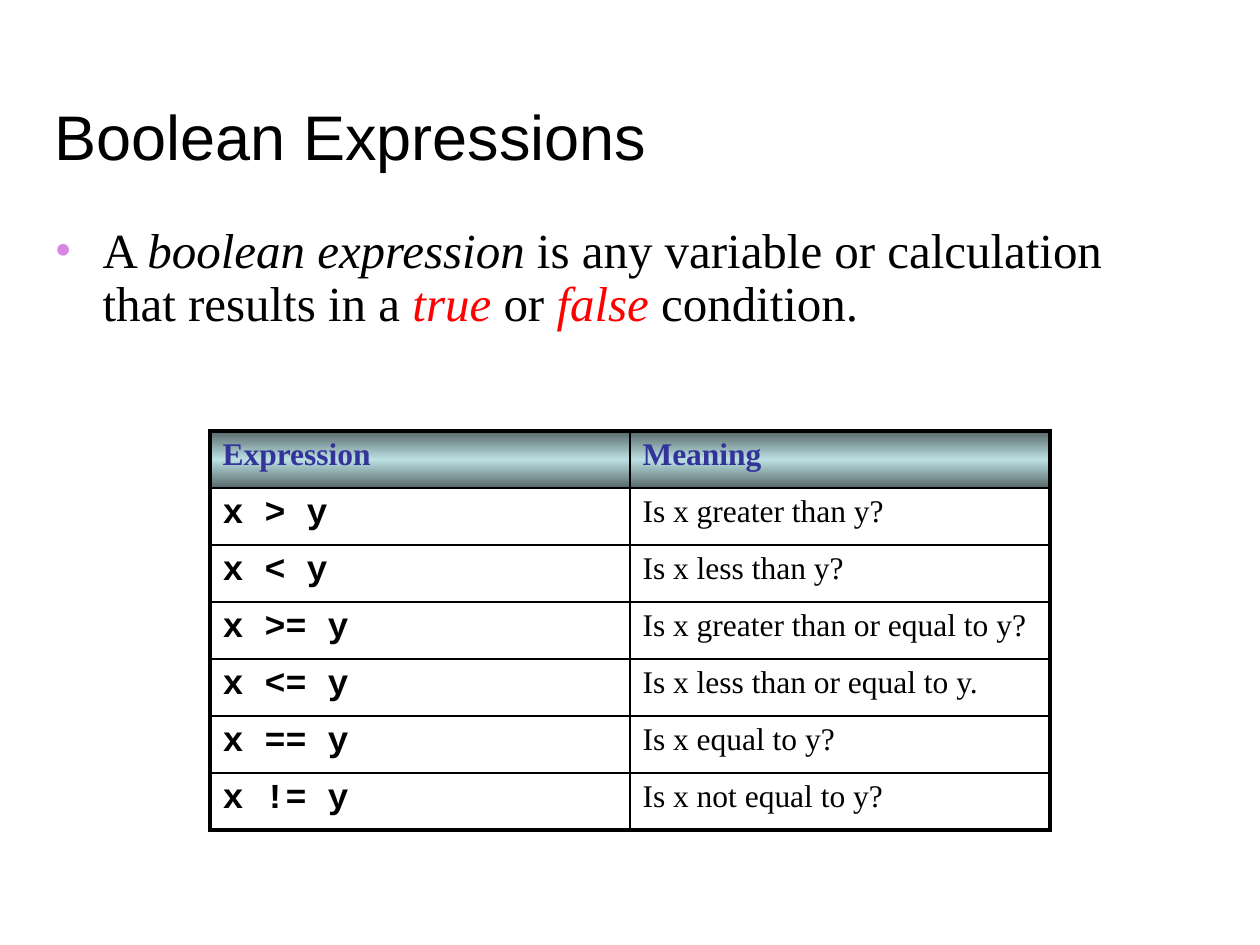
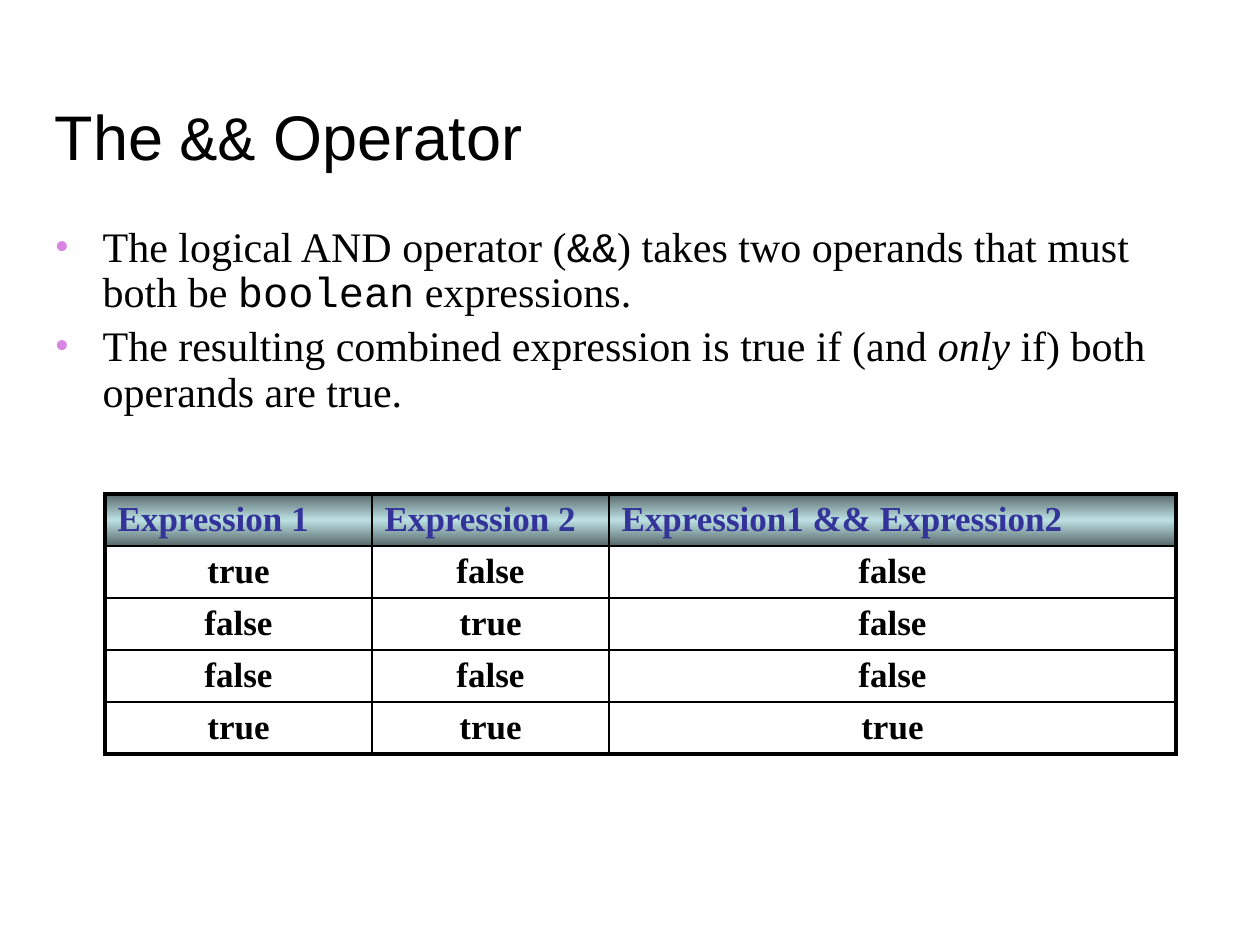
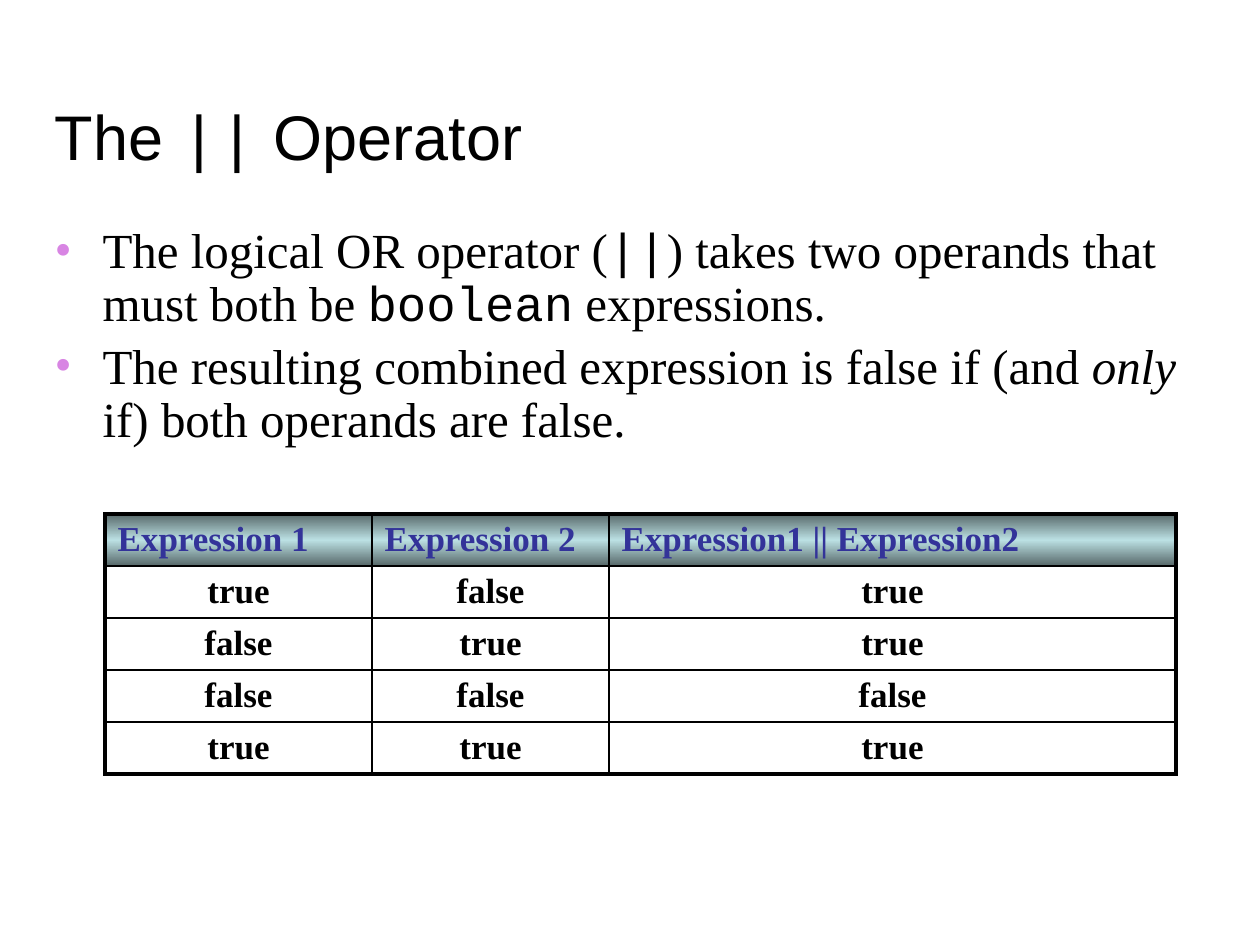
from lxml import etree
from pptx import Presentation
from pptx import util as u
from pptx.dml import color
from pptx.enum import text
from pptx.oxml import ns

EMU_PER_PX = 914400 / 126
COLORS = {
    "ink": "000000",
    "true_false": "FF0000",
    "bullet": "D885E3",
    "header_text": "333399",
    "header_edge": "576869",
    "header_middle": "BBE0E3",
}
SERIF, SANS, MONO = "Times New Roman", "Arial", "Courier New"
CODE = {"name": MONO}
ITALIC = {"italic": True}
RED_ITALIC = {"italic": True, "color": "true_false"}
THIN, THICK = 1, 2.25
TRUTH_ROWS = [(True, False), (False, True), (False, False), (True, True)]


def px(length):
    return u.Emu(round(length * EMU_PER_PX))


def set_formats(target, formats):
    for name, value in formats.items():
        setattr(target, name, value)


def add_element(parent, tag, **attributes):
    return etree.SubElement(parent, ns.qn(tag), attributes)


def add_color(parent, color_name):
    add_element(parent, "a:srgbClr", val=COLORS[color_name])


class Deck:
    title_font = {"name": SANS, "size": u.Pt(36), "color": "ink"}
    title_box = (42, 42, 1187, 137)
    body_left, body_top, body_width = 42, 220, 1143
    body_indent = 48

    def __init__(self):
        self.presentation = Presentation()
        set_formats(self.presentation, {"slide_width": px(1260), "slide_height": px(945)})
        self.slide = None

    def add_slide(self, title_runs):
        layout = self.presentation.slide_layouts[1]
        self.slide = self.presentation.slides.add_slide(layout)
        title = self.slide.shapes.title
        self.place(title, self.title_box)
        set_formats(title.text_frame, {
            "word_wrap": True,
            "auto_size": text.MSO_AUTO_SIZE.NONE,
            "vertical_anchor": text.MSO_ANCHOR.BOTTOM,
        })
        paragraph = title.text_frame.paragraphs[0]
        paragraph.alignment = text.PP_ALIGN.LEFT
        self.add_runs(paragraph, title_runs, self.title_font)

    def place(self, shape, box):
        set_formats(shape, dict(zip(("left", "top", "width", "height"), map(px, box))))

    def add_runs(self, paragraph, runs, base_font):
        for piece in runs:
            content, changes = (piece, {}) if isinstance(piece, str) else piece
            run = paragraph.add_run()
            run.text = content
            formats = {**base_font, **changes}
            color_name = formats.pop("color")
            set_formats(run.font, formats)
            run.font.color.rgb = color.RGBColor.from_string(COLORS[color_name])

    def add_bullets(self, items, height, size):
        body = self.slide.placeholders[1]
        self.place(body, (self.body_left, self.body_top, self.body_width, height))
        frame = body.text_frame
        set_formats(frame, {
            "word_wrap": True,
            "auto_size": text.MSO_AUTO_SIZE.NONE,
            "margin_right": 0,
        })
        base_font = {"name": SERIF, "size": u.Pt(size), "color": "ink"}
        for index, runs in enumerate(items):
            paragraph = frame.add_paragraph() if index else frame.paragraphs[0]
            paragraph.line_spacing = 0.9
            self.format_bullet(paragraph)
            self.add_runs(paragraph, runs, base_font)

    def format_bullet(self, paragraph):
        properties = paragraph._p.get_or_add_pPr()
        indent = px(self.body_indent)
        properties.set("marL", str(indent))
        properties.set("indent", str(-indent))
        space = add_element(properties, "a:spcBef")
        add_element(space, "a:spcPct", val="20000")
        add_color(add_element(properties, "a:buClr"), "bullet")
        add_element(properties, "a:buFont", typeface=SERIF)
        add_element(properties, "a:buChar", char="•")

    def add_table(self, rows, left, top, widths, row_height, header_font,
                  column_fonts, header_anchor, body_alignment):
        row_count, column_count = len(rows), len(widths)
        frame = self.slide.shapes.add_table(
            row_count, column_count, px(left), px(top),
            px(sum(widths)), px(row_height * row_count))
        table = frame.table
        set_formats(table, {"first_row": False, "horz_banding": False})
        for column, width in zip(table.columns, widths):
            column.width = px(width)
        for row_index, values in enumerate(rows):
            table.rows[row_index].height = px(row_height)
            is_header = row_index == 0
            for column_index, value in enumerate(values):
                cell = table.cell(row_index, column_index)
                self.add_borders(cell, {
                    "a:lnL": column_index == 0,
                    "a:lnR": column_index == column_count - 1,
                    "a:lnT": is_header,
                    "a:lnB": row_index == row_count - 1,
                })
                paragraph = cell.text_frame.paragraphs[0]
                if is_header:
                    self.fill_header(cell)
                    cell.vertical_anchor = header_anchor
                    font = header_font
                else:
                    cell.fill.background()
                    paragraph.alignment = body_alignment
                    font = column_fonts[column_index]
                self.add_runs(paragraph, [value], font)

    def add_borders(self, cell, outer_sides):
        properties = cell._tc.get_or_add_tcPr()
        for side, is_outer in outer_sides.items():
            width = u.Pt(THICK if is_outer else THIN)
            line = add_element(properties, side, w=str(width))
            add_color(add_element(line, "a:solidFill"), "ink")

    def fill_header(self, cell):
        gradient = add_element(cell._tc.get_or_add_tcPr(), "a:gradFill", rotWithShape="1")
        stops = add_element(gradient, "a:gsLst")
        for position, color_name in ((0, "header_edge"), (50, "header_middle"), (100, "header_edge")):
            add_color(add_element(stops, "a:gs", pos=str(position * 1000)), color_name)
        add_element(gradient, "a:lin", ang="5400000", scaled="1")

    def add_truth_table(self, symbol, combine, top):
        rows = [("Expression 1", "Expression 2", f"Expression1 {symbol} Expression2")]
        for first, second in TRUTH_ROWS:
            values = (first, second, combine((first, second)))
            rows.append([str(value).lower() for value in values])
        font = {"name": SERIF, "size": u.Pt(20), "bold": True, "color": "ink"}
        self.add_table(
            rows, 105, top, (267, 237, 567), 52,
            {**font, "color": "header_text"}, [font] * 3,
            text.MSO_ANCHOR.MIDDLE, text.PP_ALIGN.CENTER)

    def add_operator_slide(self, symbol, word, outcome, combine, text_size, table_top):
        self.add_slide(["The ", (symbol, CODE), " Operator"])
        self.add_bullets([
            [f"The logical {word} operator (", (symbol, CODE),
             ") takes two operands that must both be ", ("boolean", CODE), " expressions."],
            [f"The resulting combined expression is {outcome} if (and ", ("only", ITALIC),
             f" if) both operands are {outcome}."],
        ], 305, text_size)
        self.add_truth_table(symbol, combine, table_top)


def main():
    deck = Deck()

    deck.add_slide(["Boolean Expressions"])
    deck.add_bullets([[
        "A ", ("boolean expression", ITALIC),
        " is any variable or calculation that results in a ",
        ("true", RED_ITALIC), " or ", ("false", RED_ITALIC), " condition.",
    ]], 168, 28)
    meaning_font = {"name": SERIF, "size": u.Pt(18), "bold": False, "color": "ink"}
    expression_font = {"name": MONO, "size": u.Pt(20), "bold": True, "color": "ink"}
    deck.add_table([
        ("Expression", "Meaning"),
        ("x > y", "Is x greater than y?"),
        ("x < y", "Is x less than y?"),
        ("x >= y", "Is x greater than or equal to y?"),
        ("x <= y", "Is x less than or equal to y."),
        ("x == y", "Is x equal to y?"),
        ("x != y", "Is x not equal to y?"),
    ], 210, 431, (420, 420), 57,
        {**meaning_font, "bold": True, "color": "header_text"},
        (expression_font, meaning_font),
        text.MSO_ANCHOR.TOP, text.PP_ALIGN.LEFT)

    deck.add_operator_slide("&&", "AND", "true", all, 24, 494)
    deck.add_operator_slide("||", "OR", "false", any, 28, 514)

    deck.presentation.save("out.pptx")


if __name__ == "__main__":
    main()
